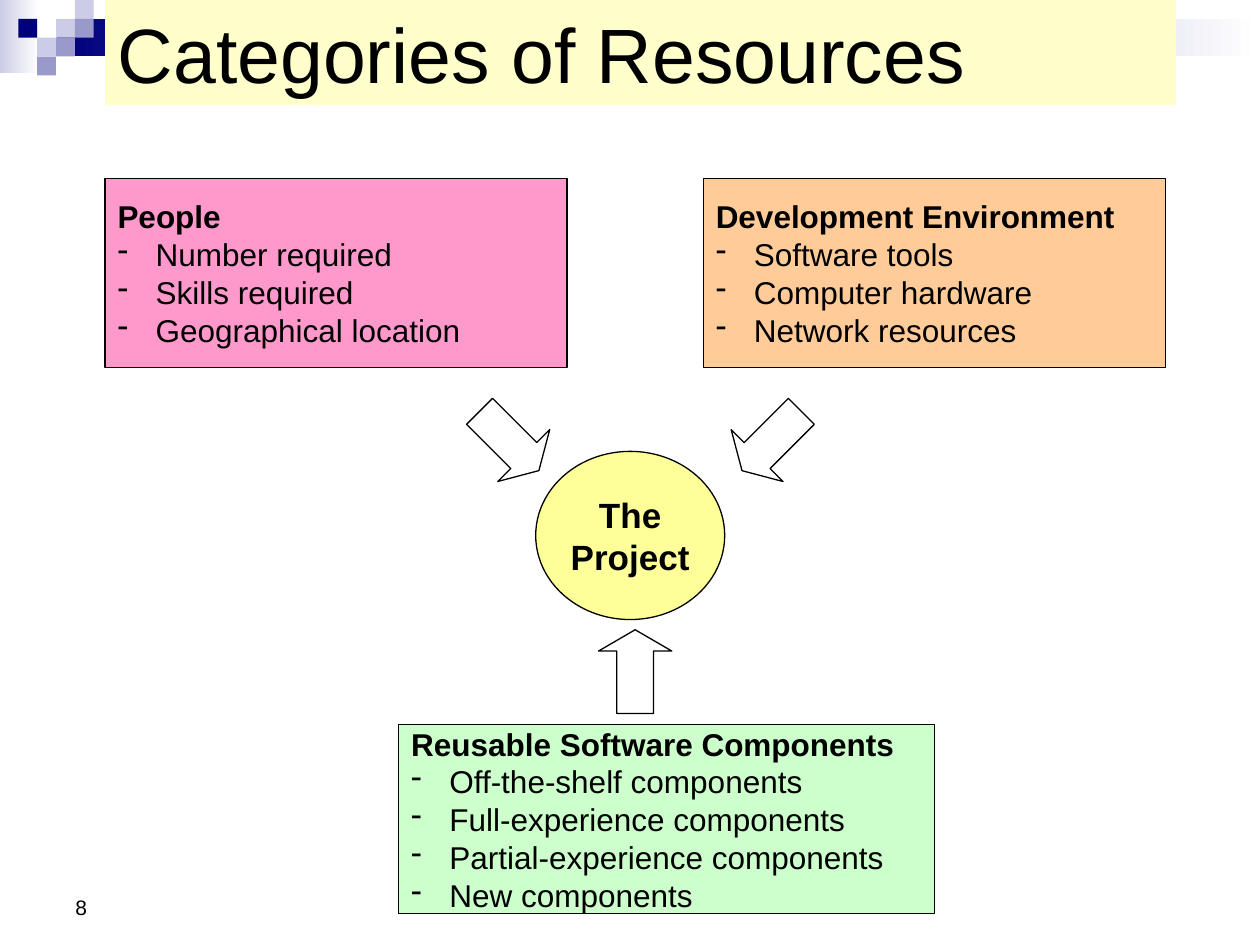
import pptx
import pptx.util
import pptx.dml.color
import pptx.enum.shapes
import pptx.enum.text
import pptx.oxml.ns
import lxml.etree

Cm = pptx.util.Cm
Pt = pptx.util.Pt
SHAPE = pptx.enum.shapes.MSO_SHAPE
ANCHOR = pptx.enum.text.MSO_ANCHOR
ALIGN = pptx.enum.text.PP_ALIGN

NAVY, LILAC, PALE = "00007D", "9999CC", "CCCCE6"
SQUARE = 0.38
SQUARES = [(2, 1, PALE), (3, 0, PALE), (3, 1, LILAC), (1, 2, PALE),
           (0, 1, NAVY), (2, 2, LILAC), (1, 3, LILAC)]
BOXES = [
    ((2.12, 3.6, 9.31, 3.81), "FF99CC", "People",
     ["Number required", "Skills required", "Geographical location"]),
    ((14.18, 3.6, 9.31, 3.81), "FFCC99", "Development Environment",
     ["Software tools", "Computer hardware", "Network resources"]),
    ((8.04, 14.61, 10.8, 3.81), "CCFFCC", "Reusable Software Components",
     ["Off-the-shelf components", "Full-experience components",
      "Partial-experience components", "New components"]),
]
ARROWS = [(9.42, 8.15, 45), (14.71, 8.15, 135), (11.96, 12.8, 270)]


def rgb(color):
    return pptx.dml.color.RGBColor.from_string(color)


def set_all(target, values):
    for name, value in values.items():
        setattr(target, name, value)


def place(sp, at):
    set_all(sp, dict(zip(("left", "top", "width", "height"), map(Cm, at))))


def add_shape(s, kind, at, fill=None, outlined=False):
    sp = s.shapes.add_shape(kind, *map(Cm, at))
    sp.shadow.inherit = False
    if fill:
        sp.fill.solid()
        sp.fill.fore_color.rgb = rgb(fill)
    if outlined:
        sp.line.color.rgb = rgb("000000")
        sp.line.width = Pt(0.75)
    else:
        sp.line.fill.background()
    return sp


def add_gradient(s, at, start):
    sp = add_shape(s, SHAPE.RECTANGLE, at)
    sp.fill.gradient()
    sp.fill.gradient_angle = 0
    for stop, color in zip(sp.fill.gradient_stops, (start, "FFFFFF")):
        stop.color.rgb = rgb(color)


def write(p, text, size, bold=False, align=ALIGN.LEFT):
    p.alignment = align
    r = p.add_run()
    r.text = text
    set_all(r.font, {"name": "Arial", "size": Pt(size), "bold": bold})
    r.font.color.rgb = rgb("000000")


def add_bullet(p):
    pPr = p._p.get_or_add_pPr()
    pPr.set("marL", str(Cm(0.77)))
    pPr.set("indent", str(-Cm(0.77)))
    bullet = lxml.etree.SubElement(pPr, pptx.oxml.ns.qn("a:buChar"))
    bullet.set("char", "-")


def add_box(s, at, fill, heading, items):
    sp = add_shape(s, SHAPE.RECTANGLE, at, fill, True)
    tf = sp.text_frame
    set_all(tf, {"word_wrap": True, "vertical_anchor": ANCHOR.MIDDLE})
    write(tf.paragraphs[0], heading, 18, True)
    for item in items:
        p = tf.add_paragraph()
        write(p, item, 18)
        add_bullet(p)


def add_project(s):
    sp = add_shape(s, SHAPE.OVAL, (10.8, 9.1, 3.81, 3.39), "FFFF99", True)
    tf = sp.text_frame
    set_all(tf, {"word_wrap": False, "vertical_anchor": ANCHOR.MIDDLE})
    write(tf.paragraphs[0], "The", 20, True, ALIGN.CENTER)
    write(tf.add_paragraph(), "Project", 20, True, ALIGN.CENTER)


def add_arrow(s, left, top, angle):
    sp = add_shape(s, SHAPE.RIGHT_ARROW, (left, top, 1.69, 1.48), "FFFFFF", True)
    sp.rotation = angle
    sp.adjustments[1] = 0.29


def add_decoration(s):
    add_gradient(s, (0, 0, 0.79, 1.47), PALE)
    add_gradient(s, (1.14, 0.38, 24.26, 0.76), NAVY)
    for col, row, color in SQUARES:
        at = (0.37 + col * SQUARE, row * SQUARE, SQUARE, SQUARE)
        add_shape(s, SHAPE.RECTANGLE, at, color)


def add_title(s):
    title = s.shapes.title
    title.element.getparent().append(title.element)
    place(title, (2.12, 0, 21.59, 2.12))
    title.fill.solid()
    title.fill.fore_color.rgb = rgb("FFFFCC")
    tf = title.text_frame
    set_all(tf, {"word_wrap": True, "vertical_anchor": ANCHOR.MIDDLE,
                 "auto_size": pptx.enum.text.MSO_AUTO_SIZE.NONE})
    write(tf.paragraphs[0], "Categories of Resources", 44)


def add_page_number(s):
    sp = s.shapes.add_textbox(*map(Cm, (1.27, 17.35, 5.92, 1.32)))
    tf = sp.text_frame
    set_all(tf, {"word_wrap": True, "vertical_anchor": ANCHOR.BOTTOM})
    write(tf.paragraphs[0], "8", 12)


def main():
    prs = pptx.Presentation()
    set_all(prs, {"slide_width": Cm(25.4), "slide_height": Cm(19.05)})
    s = prs.slides.add_slide(prs.slide_layouts[5])
    add_decoration(s)
    add_page_number(s)
    add_title(s)
    for box in BOXES:
        add_box(s, *box)
    add_project(s)
    for arrow in ARROWS:
        add_arrow(s, *arrow)
    prs.save("out.pptx")


if __name__ == "__main__":
    main()
